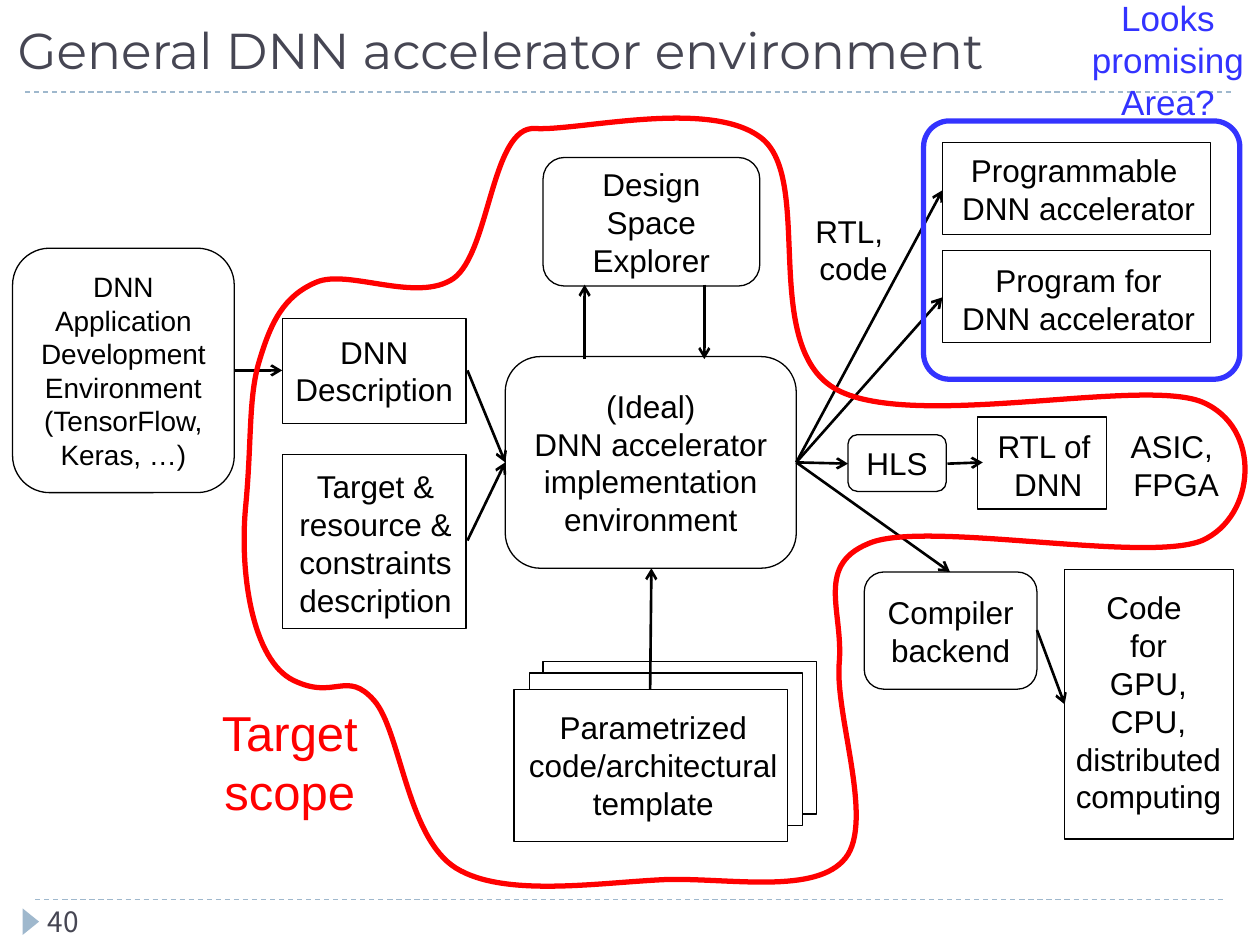
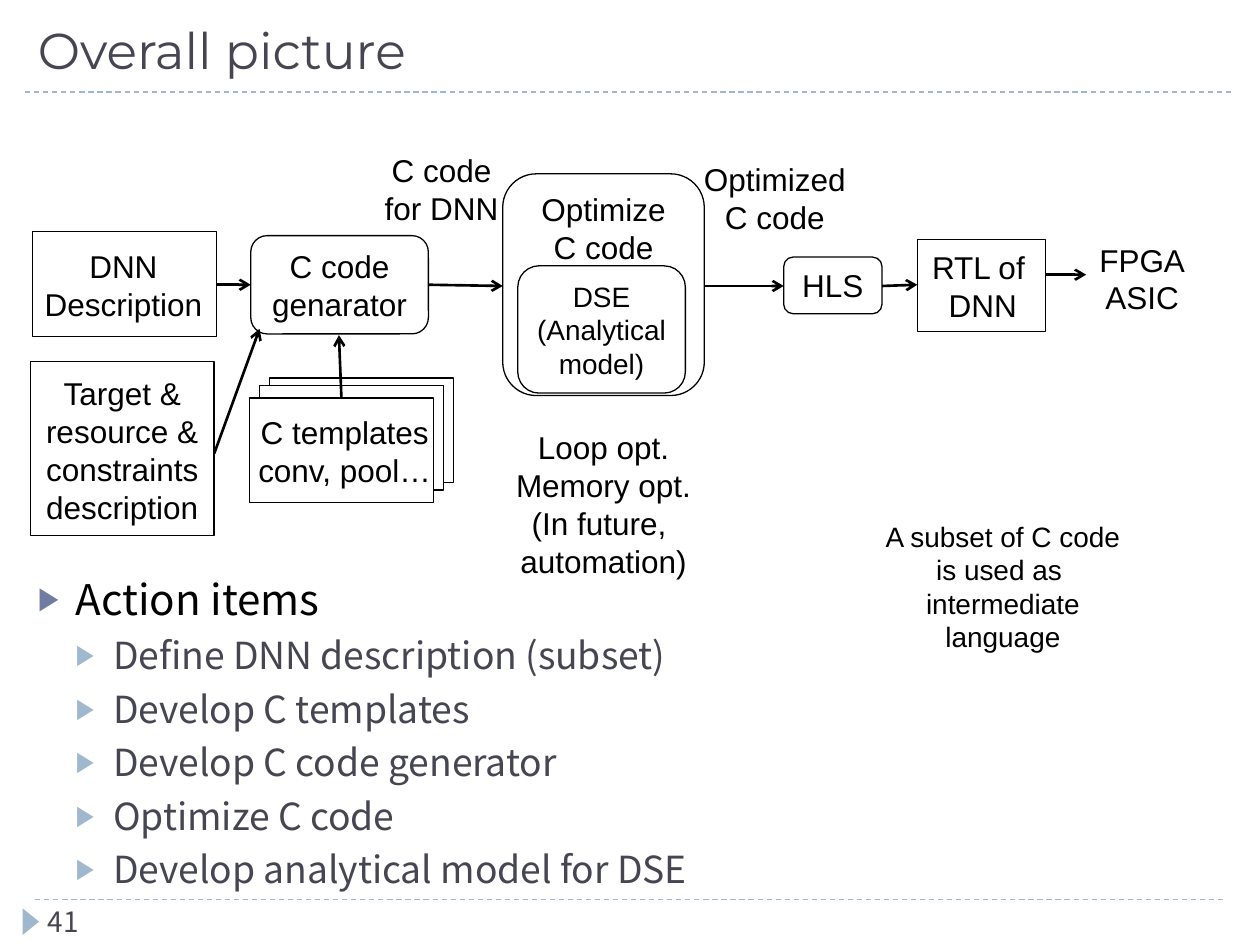
from dataclasses import dataclass

import pptx
import pptx.dml.color
import pptx.enum.dml
import pptx.enum.shapes
import pptx.enum.text
import pptx.oxml
import pptx.oxml.ns
import pptx.util
from pptx.util import Inches

COLORS = {"ink": "000000", "title": "464653", "rule": "9FB8CD", "bullet": "727CA3",
          "paper": "FFFFFF", "scope": "FF0000", "promising": "3333FF"}
BODY_FONT = "Noto Sans CJK JP"
SHAPES = pptx.enum.shapes.MSO_SHAPE
ANCHOR = pptx.enum.text.MSO_ANCHOR
ALIGN = pptx.enum.text.PP_ALIGN

DESCRIPTION = "DNN\nDescription"
CONSTRAINTS = "Target &\nresource &\nconstraints\ndescription"
RTL = "RTL of \nDNN"


@dataclass
class Box:
    x: float
    y: float
    w: float
    h: float
    text: str = ""
    size: float = 18
    rounded: bool = True
    anchor: ANCHOR = ANCHOR.MIDDLE
    fill: str = ""
    line: str = "ink"
    weight: float = 0.75
    corner: float | None = None


@dataclass
class Label:
    x: float
    y: float
    w: float
    h: float
    text: str
    size: float = 18
    color: str = "ink"
    wrap: bool = False


@dataclass
class Arrow:
    x1: float
    y1: float
    x2: float
    y2: float


def frame(x: float, y: float, w: float, h: float, fill: str = "") -> Box:
    return Box(x, y, w, h, rounded=False, fill=fill)


def rgb(name: str) -> pptx.dml.color.RGBColor:
    return pptx.dml.color.RGBColor.from_string(COLORS[name])


def style_text(tf, size: float, color: str, font: str = "Arial", align=ALIGN.CENTER) -> None:
    for p in tf.paragraphs:
        p.alignment = align
        for r in p.runs:
            r.font.size = pptx.util.Pt(size)
            r.font.name = font
            r.font.color.rgb = rgb(color)


def place(sp, x: float, y: float, w: float, h: float) -> None:
    sp.left, sp.top, sp.width, sp.height = (Inches(v) for v in (x, y, w, h))


def outline(sp, color: str, weight: float) -> None:
    sp.shadow.inherit = False
    sp.line.color.rgb = rgb(color)
    sp.line.width = pptx.util.Pt(weight)


def draw_box(s, box: Box) -> None:
    kind = SHAPES.ROUNDED_RECTANGLE if box.rounded else SHAPES.RECTANGLE
    sp = s.shapes.add_shape(kind, *(Inches(v) for v in (box.x, box.y, box.w, box.h)))
    outline(sp, box.line, box.weight)
    if box.corner is not None:
        sp.adjustments[0] = box.corner
    if box.fill:
        sp.fill.solid()
        sp.fill.fore_color.rgb = rgb(box.fill)
    else:
        sp.fill.background()
    if box.text:
        tf = sp.text_frame
        tf.text = box.text
        tf.vertical_anchor = box.anchor
        style_text(tf, box.size, "ink")


def draw_label(s, label: Label) -> None:
    sp = s.shapes.add_textbox(*(Inches(v) for v in (label.x, label.y, label.w, label.h)))
    tf = sp.text_frame
    tf.word_wrap = label.wrap
    tf.text = label.text
    style_text(tf, label.size, label.color)


def draw_line(s, x1: float, y1: float, x2: float, y2: float, color: str, weight: float):
    cn = s.shapes.add_connector(pptx.enum.shapes.MSO_CONNECTOR.STRAIGHT,
                                *(Inches(v) for v in (x1, y1, x2, y2)))
    cn.line.color.rgb = rgb(color)
    cn.line.width = pptx.util.Pt(weight)
    sp_pr = cn._element.spPr
    sp_pr.append(sp_pr.makeelement(pptx.oxml.ns.qn("a:effectLst"), {}))
    return cn


def draw_arrow(s, arrow: Arrow) -> None:
    cn = draw_line(s, arrow.x1, arrow.y1, arrow.x2, arrow.y2, "ink", 1.5)
    ln = cn.line._get_or_add_ln()
    ln.append(ln.makeelement(pptx.oxml.ns.qn("a:tailEnd"), {"type": "arrow"}))


def draw_all(s, items: list) -> None:
    painters = {Box: draw_box, Label: draw_label, Arrow: draw_arrow}
    for item in items:
        painters[type(item)](s, item)


def stack(x: float, y: float, w: float, h: float, offsets: tuple) -> list[Box]:
    """Sheets behind one another; offsets lead right and up from the front one."""
    return [frame(x + dx, y - dy, w, h, "paper") for dx, dy in (*offsets, (0, 0))]


def draw_closed_curve(s, bounds: tuple, start: tuple, curves: list[tuple],
                      color: str, weight: float) -> None:
    """Trace cubic Bezier curves, each given as two control points and an end."""
    qn = pptx.oxml.ns.qn
    left, top, width, height = bounds
    builder = s.shapes.build_freeform(Inches(start[0]), Inches(start[1]))
    builder.add_line_segments([(Inches(c[4]), Inches(c[5])) for c in curves], close=True)
    sp = builder.convert_to_shape()
    place(sp, *bounds)
    outline_path = next(sp._element.iter(qn("a:path")))
    outline_path.set("w", str(Inches(width)))
    outline_path.set("h", str(Inches(height)))
    # Each straight segment becomes a curve, measured from the top left of the bounds.
    segments = outline_path.findall(qn("a:moveTo")) + outline_path.findall(qn("a:lnTo"))
    for segment, coords in zip(segments, [start, *curves]):
        name = "a:moveTo" if coords is start else "a:cubicBezTo"
        curve = outline_path.makeelement(qn(name), {})
        for x, y in zip(coords[::2], coords[1::2]):
            curve.append(curve.makeelement(
                qn("a:pt"), {"x": str(Inches(x - left)), "y": str(Inches(y - top))}))
        outline_path.replace(segment, curve)
    sp.fill.background()
    outline(sp, color, weight)


def add_slide(prs, layout: int, title: str, number: int, title_x: float):
    s = prs.slides.add_slide(prs.slide_layouts[layout])
    for x1, x2, y in ((0.28, 9.72, 7.14), (0.2, 9.8, 0.73)):
        rule = draw_line(s, x1, y, x2, y, "rule", 0.75)
        rule.line.dash_style = pptx.enum.dml.MSO_LINE.DASH
    marker = s.shapes.add_shape(SHAPES.ISOSCELES_TRIANGLE, *(
        Inches(v) for v in (0.14, 7.25, 0.21, 0.13)))
    marker.rotation = 90
    marker.shadow.inherit = False
    marker.fill.solid()
    marker.fill.fore_color.rgb = rgb("rule")
    marker.line.fill.background()

    place(s.shapes.title, title_x, 0.05, 9.61, 0.63)
    tf = s.shapes.title.text_frame
    tf.text = title
    tf.auto_size = pptx.enum.text.MSO_AUTO_SIZE.NONE
    tf.vertical_anchor = ANCHOR.BOTTOM
    style_text(tf, 28.8, "title", "Montserrat", ALIGN.LEFT)

    page = s.shapes.add_textbox(*(Inches(v) for v in (0.28, 7.13, 2.17, 0.31)))
    page.text_frame.text = str(number)
    style_text(page.text_frame, 16, "title", BODY_FONT, ALIGN.LEFT)
    return s


def add_bullet(p, indent: float, color: str) -> None:
    p_pr = p._p.get_or_add_pPr()
    p_pr.set("marL", str(Inches(indent)))
    p_pr.set("indent", str(Inches(-0.3)))
    ns = pptx.oxml.ns.nsdecls("a")
    for xml in (f'<a:buClr {ns}><a:srgbClr val="{COLORS[color]}"/></a:buClr>',
                f'<a:buSzPct {ns} val="76000"/>',
                f'<a:buChar {ns} char="▶"/>'):
        p_pr.append(pptx.oxml.parse_xml(xml))


def fill_action_items(body, heading: str, items: list[str]) -> None:
    place(body, 0.2, 4.5, 9.61, 2.48)
    tf = body.text_frame
    tf.auto_size = pptx.enum.text.MSO_AUTO_SIZE.NONE
    tf.text = "\n".join([heading, *items])
    style_text(tf, 21.3, "title", BODY_FONT, ALIGN.LEFT)
    for i, p in enumerate(tf.paragraphs):
        p.level = 1 if i else 0
        add_bullet(p, 0.6 if i else 0.3, "rule" if i else "bullet")
        p.space_before = pptx.util.Pt(5 if i else 0)
    head = tf.paragraphs[0].runs[0]
    head.font.size = pptx.util.Pt(24.1)
    head.font.color.rgb = rgb("ink")


def build_environment(prs) -> None:
    s = add_slide(prs, 5, "General DNN accelerator environment", 40, 0.04)
    hub = (6.32, 3.67)
    draw_all(s, [
        frame(2.24, 2.53, 1.46, 0.83),
        Label(2.24, 2.59, 1.46, 0.71, DESCRIPTION),
        frame(2.24, 3.61, 1.46, 1.38),
        Label(2.22, 3.66, 1.52, 1.01, CONSTRAINTS),
        Box(6.73, 3.45, 0.78, 0.45, "HLS"),
        frame(7.76, 3.31, 1.02, 0.73),
        Label(7.8, 3.34, 1.04, 0.71, RTL),
        Box(4.01, 2.83, 2.31, 1.68,
            "(Ideal)\nDNN accelerator implementation\nenvironment"),
        Box(6.86, 4.54, 1.37, 0.93, "Compiler backend"),
        frame(8.45, 4.52, 1.34, 2.14),
        Label(8.43, 4.62, 1.37, 1.92, "Code \nfor\nGPU,\nCPU,\ndistributed\ncomputing"),
        *stack(4.08, 5.47, 2.17, 1.21, ((0.23, 0.22), (0.12, 0.13))),
        Label(3.77, 5.57, 2.83, 1.01, "Parametrized\ncode/architectural\ntemplate"),
        frame(7.48, 1.13, 2.13, 0.73),
        Label(7.48, 1.15, 2.16, 0.71, "Programmable \nDNN accelerator", wrap=True),
        frame(7.48, 1.99, 2.13, 0.73),
        Label(7.48, 2.02, 2.16, 0.71, "Program for\nDNN accelerator", wrap=True),
        Box(4.31, 1.25, 1.72, 1.02, "Design Space\nExplorer"),
        Box(0.1, 1.97, 1.76, 1.94,
            "DNN\nApplication\nDevelopment\nEnvironment\n(TensorFlow, Keras, …)", 16),
        Label(6.37, 1.63, 0.81, 0.71, "RTL, \ncode"),
        Label(8.87, 3.34, 0.93, 0.71, "ASIC, \nFPGA"),
        Arrow(1.86, 2.94, 2.24, 2.94),
        Arrow(3.71, 2.94, 4.01, 3.67),
        Arrow(3.71, 4.29, 4.01, 3.67),
        Arrow(5.16, 5.47, 5.17, 4.51),
        Arrow(4.64, 2.85, 4.64, 2.26),
        Arrow(5.59, 2.26, 5.59, 2.85),
        *(Arrow(*hub, x, y) for x, y in ((6.73, 3.68), (7.54, 4.54), (7.48, 2.36), (7.48, 1.51))),
        Arrow(7.52, 3.68, 7.8, 3.67),
        Arrow(8.23, 5, 8.45, 5.59),
    ])
    draw_closed_curve(s, (1.94, 0.94, 7.94, 6.09), (2.51, 2.24), [
        (2.76, 2.13, 3.31, 2.41, 3.6, 2.21),
        (3.89, 2, 3.9, 0.99, 4.25, 1.02),
        (4.6, 1.04, 5.67, 0.77, 6.06, 1.11),
        (6.45, 1.46, 6.04, 2.73, 6.62, 3.08),
        (7.2, 3.43, 9.05, 2.99, 9.54, 3.19),
        (10.02, 3.39, 9.97, 4.1, 9.54, 4.29),
        (9.1, 4.47, 7.41, 4.14, 6.93, 4.3),
        (6.45, 4.47, 6.7, 4.85, 6.66, 5.27),
        (6.63, 5.69, 6.94, 6.52, 6.71, 6.81),
        (6.48, 7.1, 5.81, 6.97, 5.3, 6.98),
        (4.78, 7, 4.01, 7.13, 3.62, 6.89),
        (3.23, 6.65, 3.18, 5.8, 2.97, 5.56),
        (2.75, 5.31, 2.66, 5.56, 2.33, 5.4),
        (2, 5.24, 1.9, 4.54, 1.95, 4.02),
        (2, 3.49, 1.97, 3.15, 2.06, 2.86),
        (2.15, 2.56, 2.25, 2.35, 2.51, 2.24),
    ], "scope", 3)
    draw_all(s, [
        Label(1.65, 5.53, 1.3, 1.04, "Target\nscope", 28, "scope"),
        Box(7.33, 0.96, 2.51, 2.05, line="promising", weight=3, corner=0.1),
        Label(8.56, -0.08, 1.42, 1.11, "Looks\npromising\nArea?", 20, "promising"),
    ])


def build_overall(prs) -> None:
    s = add_slide(prs, 1, "Overall picture", 41, 0.2)
    fill_action_items(s.placeholders[1], "Action items", [
        "Define DNN description (subset)", "Develop C templates", "Develop C code generator",
        "Optimize C code", "Develop analytical model for DSE"])
    draw_all(s, [
        frame(0.26, 1.84, 1.46, 0.83),
        Label(0.25, 1.91, 1.46, 0.71, DESCRIPTION),
        frame(0.24, 2.87, 1.46, 1.38),
        Label(0.21, 2.92, 1.52, 1.01, CONSTRAINTS),
        *stack(1.98, 3.16, 1.46, 0.83, ((0.16, 0.16), (0.08, 0.1))),
        Label(1.94, 3.23, 1.59, 0.71, "C templates\nconv, pool…"),
        Box(1.99, 1.87, 1.41, 0.78, "C code genarator"),
        Label(2.95, 1.15, 1.11, 0.71, "C code\nfor DNN"),
        Box(3.99, 1.38, 1.6, 1.76, "Optimize\nC code", anchor=ANCHOR.TOP),
        Box(4.11, 2.11, 1.33, 1.01, "DSE\n(Analytical model)", 16),
        Label(3.99, 3.35, 1.6, 1.31, "Loop opt.\nMemory opt.\n(In future, \nautomation)"),
        Label(5.48, 1.22, 1.34, 0.71, "Optimized\nC code"),
        Box(6.22, 2.04, 0.78, 0.45, "HLS"),
        frame(7.28, 1.9, 1.02, 0.73),
        Label(7.28, 1.92, 1.04, 0.71, RTL),
        Label(8.62, 1.86, 0.89, 0.71, "FPGA\nASIC"),
        Label(6.86, 4.07, 2.2, 1.18,
              "A subset of C code is used as \nintermediate\nlanguage", 16, wrap=True),
        Arrow(1.72, 2.26, 1.99, 2.26),
        Arrow(3.4, 2.26, 3.99, 2.27),
        Arrow(5.59, 2.27, 6.22, 2.27),
        Arrow(7, 2.27, 7.28, 2.26),
        Arrow(8.3, 2.18, 8.62, 2.18),
        Arrow(2.71, 3.16, 2.69, 2.66),
        Arrow(1.7, 3.6, 2.06, 2.61),
    ])


def main() -> None:
    prs = pptx.Presentation()
    prs.slide_width, prs.slide_height = Inches(10), Inches(7.5)
    build_environment(prs)
    build_overall(prs)
    prs.save("out.pptx")


if __name__ == "__main__":
    main()
